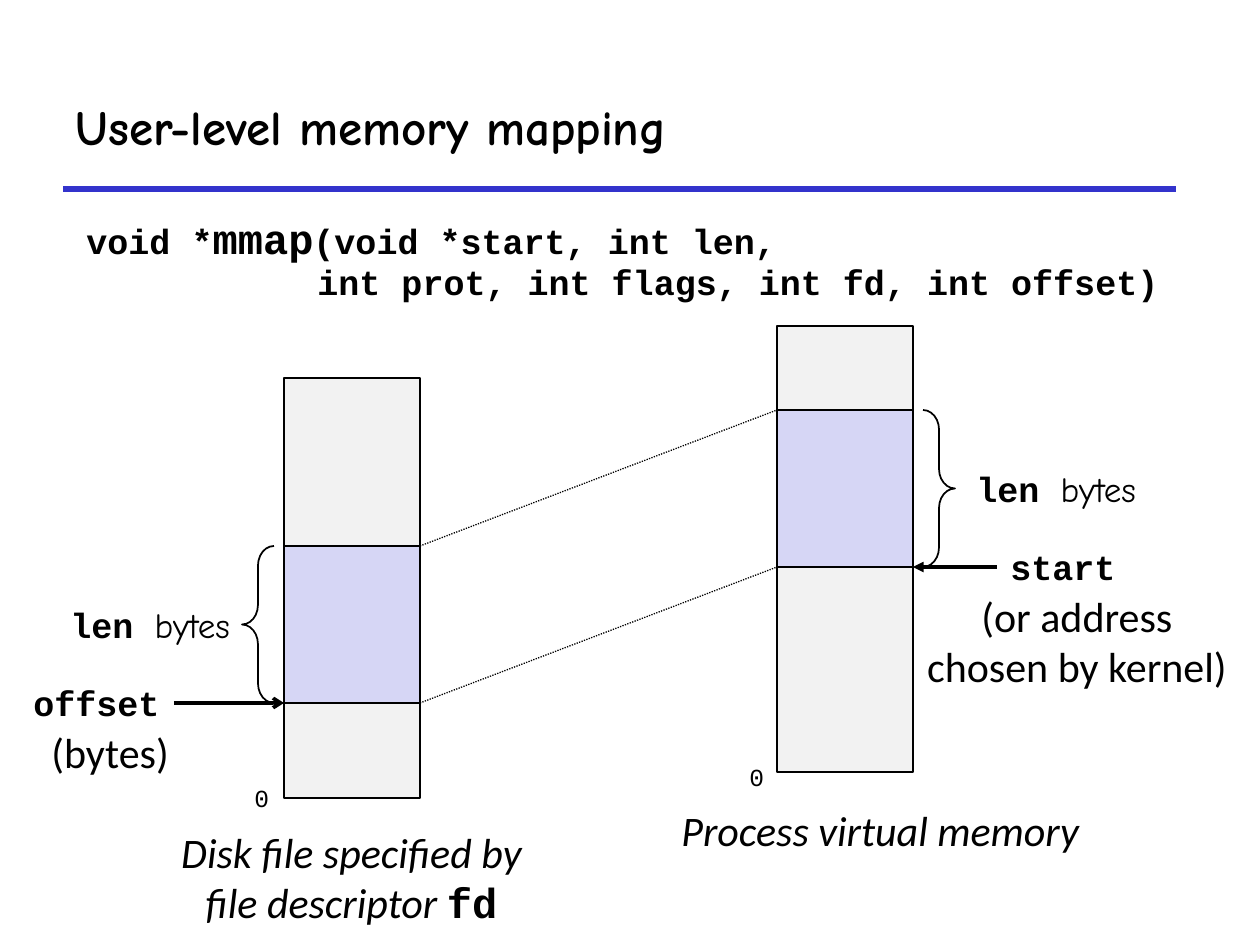
from dataclasses import dataclass

from lxml import etree
from pptx import Presentation
from pptx.dml.color import RGBColor
from pptx.enum.dml import MSO_LINE
from pptx.enum.shapes import MSO_CONNECTOR, MSO_SHAPE
from pptx.enum.text import MSO_ANCHOR, MSO_AUTO_SIZE, PP_ALIGN
from pptx.oxml.ns import qn
from pptx.util import Emu, Pt

EMU_PER_PX = 914400 / 126
STRAIGHT = MSO_CONNECTOR.STRAIGHT
RECTANGLE = MSO_SHAPE.RECTANGLE
LEFT_BRACE, RIGHT_BRACE = MSO_SHAPE.LEFT_BRACE, MSO_SHAPE.RIGHT_BRACE
DOTTED = MSO_LINE.ROUND_DOT
MIDDLE = MSO_ANCHOR.MIDDLE
FIT_SHAPE, FIT_NONE = MSO_AUTO_SIZE.SHAPE_TO_FIT_TEXT, MSO_AUTO_SIZE.NONE
LEFT, CENTER = PP_ALIGN.LEFT, PP_ALIGN.CENTER


@dataclass(frozen=True)
class TextStyle:
    """Typeface, point size and emphasis of a stretch of text."""
    font: str
    size: int
    bold: bool = False
    italic: bool = False


@dataclass(frozen=True)
class Theme:
    """Colours and text styles of the slide."""
    ink: RGBColor = RGBColor(0x00, 0x00, 0x00)
    rule: RGBColor = RGBColor(0x33, 0x33, 0xCC)
    memory: RGBColor = RGBColor(0xF2, 0xF2, 0xF2)
    mapped: RGBColor = RGBColor(0xD6, 0xD6, 0xF5)
    title: TextStyle = TextStyle("Comic Neue", 28, bold=True)
    code: TextStyle = TextStyle("Courier New", 20, bold=True)
    large_code: TextStyle = TextStyle("Courier New", 24, bold=True)
    address: TextStyle = TextStyle("Courier New", 14)
    unit: TextStyle = TextStyle("Comic Neue", 20)
    note: TextStyle = TextStyle("Calibri", 24)
    caption: TextStyle = TextStyle("Calibri", 24, italic=True)


THEME = Theme()
LENGTH_LABEL = [[("len ", THEME.code), ("bytes", THEME.unit)]]


def px(length):
    """Turn a length in px into EMU."""
    return Emu(round(length * EMU_PER_PX))


def format_font(font, style):
    """Apply a text style to a font."""
    font.name, font.size = style.font, Pt(style.size)
    font.bold, font.italic = style.bold, style.italic
    font.color.rgb = THEME.ink


def write_lines(text_frame, lines, alignment=LEFT):
    """Write one paragraph for each line of (text, style) runs."""
    for index, line in enumerate(lines):
        paragraph = text_frame.add_paragraph() if index else text_frame.paragraphs[0]
        paragraph.alignment = alignment
        if len(line) == 1:
            format_font(paragraph.font, line[0][1])
        for text, style in line:
            run = paragraph.add_run()
            run.text = text
            if len(line) > 1:
                format_font(run.font, style)


def add_label(slide, left, top, width, height, lines, alignment=LEFT):
    """Add an unwrapped text box that fits its lines."""
    shape = slide.shapes.add_textbox(px(left), px(top), px(width), px(height))
    shape.text_frame.word_wrap = False
    shape.text_frame.auto_size = FIT_SHAPE
    write_lines(shape.text_frame, lines, alignment)


def add_shape(slide, kind, left, top, width, height, fill=None):
    """Add a thinly outlined preset shape."""
    shape = slide.shapes.add_shape(kind, px(left), px(top), px(width), px(height))
    shape.shadow.inherit = False
    shape.line.color.rgb = THEME.ink
    shape.line.width = Pt(1)
    if fill is None:
        shape.fill.background()
    else:
        shape.fill.solid()
        shape.fill.fore_color.rgb = fill
    return shape


def add_line(slide, start, end, width, color=THEME.ink, dash=None, arrowhead=None):
    """Add a straight connector, optionally dashed or with an arrowhead."""
    connector = slide.shapes.add_connector(STRAIGHT, *map(px, start + end))
    connector.line.color.rgb = color
    connector.line.width = Pt(width)
    if dash is not None:
        connector.line.dash_style = dash
    if arrowhead:
        line_element = connector.line._get_or_add_ln()
        etree.SubElement(line_element, qn("a:tailEnd"), type=arrowhead)
    etree.SubElement(connector._element.spPr, qn("a:effectLst"))


def add_brace(slide, kind, left, top, height):
    """Add a brace with rounded ends an eighth of its height."""
    width = 32
    brace = add_shape(slide, kind, left, top, width, height)
    brace.adjustments[0] = height / 8 / width


def draw_heading(slide, left, top, width, height):
    """Place the title with a rule along the bottom of its box."""
    bottom = top + height
    add_line(slide, (left, bottom), (left + width, bottom), 3, THEME.rule)
    title = slide.shapes.title
    title.left, title.top, title.width, title.height = map(px, (left, top, width, height))
    title.text_frame.vertical_anchor = MIDDLE
    title.text_frame.auto_size = FIT_NONE
    write_lines(title.text_frame, [[("User-level memory mapping", THEME.title)]])


def draw_signature(slide, left, top, width, height):
    """Write the function signature with its second line indented."""
    shape = slide.shapes.add_textbox(px(left), px(top), px(width), px(height))
    shape.text_frame.word_wrap = True
    write_lines(shape.text_frame, [
        [("void *", THEME.code), ("mmap", THEME.large_code),
         ("(void *start, int len,", THEME.code)],
        [("int prot, int flags, int fd, int offset)", THEME.code)],
    ])
    for paragraph in shape.text_frame.paragraphs:
        paragraph.line_spacing = 0.94
    paragraph._p.get_or_add_pPr().set("marL", str(px(231)))


def draw_memory(slide, left, top, width, height, mapped_offset, mapped_height):
    """Draw a memory column and its mapped area."""
    add_shape(slide, RECTANGLE, left, top, width, height, THEME.memory)
    add_shape(slide, RECTANGLE, left, top + mapped_offset, width, mapped_height, THEME.mapped)


def draw_disk_file(slide, left, top, width, height, mapped_offset, mapped_height):
    """Draw the disk file with its labels on the left."""
    draw_memory(slide, left, top, width, height, mapped_offset, mapped_height)
    mapped_top = top + mapped_offset
    mapped_bottom = mapped_top + mapped_height
    add_brace(slide, LEFT_BRACE, left - 42, mapped_top, mapped_height)
    add_label(slide, left - 226, mapped_top + 51, 190, 55, LENGTH_LABEL)
    add_label(slide, left - 263, mapped_bottom - 28, 156, 55, [[("offset", THEME.code)]])
    add_line(slide, (left - 110, mapped_bottom), (left, mapped_bottom), 2, arrowhead="arrow")
    add_label(slide, left - 245, mapped_bottom + 17, 148, 63, [[("(bytes)", THEME.note)]])
    add_label(slide, left - 42, top + height - 21, 40, 43, [[("0", THEME.address)]])
    add_label(slide, left - 120, top + height + 22, 375, 113, [
        [("Disk file specified by", THEME.caption)],
        [("file descriptor ", THEME.caption), ("fd", THEME.large_code)],
    ], CENTER)


def draw_virtual_memory(slide, left, top, width, height, mapped_offset, mapped_height):
    """Draw the virtual memory with its labels on the right."""
    draw_memory(slide, left, top, width, height, mapped_offset, mapped_height)
    right = left + width
    mapped_top = top + mapped_offset
    mapped_bottom = mapped_top + mapped_height
    add_brace(slide, RIGHT_BRACE, right + 10, mapped_top, mapped_height)
    add_label(slide, right + 51, mapped_top + 51, 190, 55, LENGTH_LABEL)
    add_line(slide, (right + 84, mapped_bottom), (right, mapped_bottom), 2, arrowhead="triangle")
    add_label(slide, right + 85, mapped_bottom - 28, 135, 55, [[("start", THEME.code)]])
    add_label(slide, right, mapped_bottom + 17, 328, 113, [
        [("(or address", THEME.note)],
        [("chosen by kernel)", THEME.note)],
    ], CENTER)
    add_label(slide, left - 40, top + height - 16, 40, 43, [[("0", THEME.address)]])
    add_label(slide, left - 108, top + height + 26, 430, 63,
              [[("Process virtual memory", THEME.caption)]])


def draw_mapping(slide, left, top, width, height):
    """Draw both memories in the box and the dotted lines between them."""
    column_width, mapped_height = 136, 157
    file_offset, file_mapped = 52, 168
    memory_mapped = 84
    memory_left = left + width - column_width
    draw_disk_file(slide, left, top + file_offset, column_width, height - file_offset,
                   file_mapped, mapped_height)
    draw_virtual_memory(slide, memory_left, top, column_width, 446,
                        memory_mapped, mapped_height)
    for edge in (0, mapped_height):
        add_line(slide, (left + column_width, top + file_offset + file_mapped + edge),
                 (memory_left, top + memory_mapped + edge), 0.75, dash=DOTTED)


def main():
    """Build and save the slide."""
    presentation = Presentation()
    presentation.slide_width, presentation.slide_height = px(1260), px(945)
    slide = presentation.slides.add_slide(presentation.slide_layouts[5])
    draw_heading(slide, 63, 63, 1113, 126)
    draw_signature(slide, 74, 210, 1113, 115)
    draw_mapping(slide, 284, 326, 629, 472)
    presentation.save("out.pptx")


if __name__ == "__main__":
    main()
